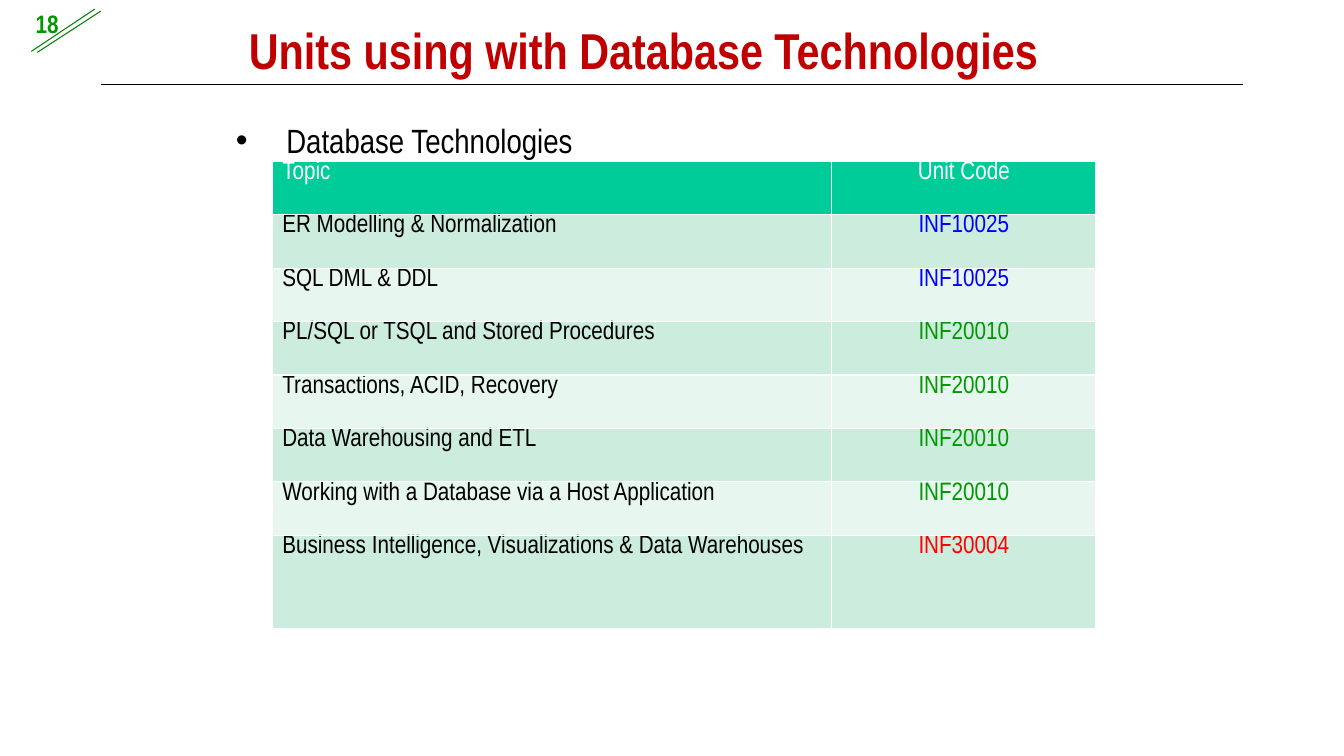
from dataclasses import dataclass

from lxml import etree
from pptx import Presentation
from pptx.dml.color import RGBColor
from pptx.enum.shapes import MSO_CONNECTOR
from pptx.enum.text import MSO_ANCHOR, PP_ALIGN
from pptx.oxml.ns import qn
from pptx.util import Inches, Pt

STRAIGHT = MSO_CONNECTOR.STRAIGHT
TOP, BOTTOM = MSO_ANCHOR.TOP, MSO_ANCHOR.BOTTOM
LEFT, CENTER, RIGHT = PP_ALIGN.LEFT, PP_ALIGN.CENTER, PP_ALIGN.RIGHT


@dataclass(frozen=True)
class Theme:
    font: str = "Arial Narrow"
    title_size: int = 36
    body_size: int = 24
    small_size: int = 18
    title: str = "C00000"
    number: str = "009900"
    accent: str = "008000"
    text: str = "000000"
    white: str = "FFFFFF"
    header: str = "00CC99"
    bands: tuple = ("CCECDE", "E7F6EF")
    level_one: str = "0000FF"
    level_two: str = "009900"
    level_three: str = "FF0000"


THEME = Theme()

TITLE = "Units using with Database Technologies"
PAGE_NUMBER = "18"
BULLET = "Database Technologies"
HEADER = ("Topic", "Unit Code")
UNITS = [
    ("ER Modelling & Normalization", "INF10025"),
    ("SQL DML & DDL", "INF10025"),
    ("PL/SQL or TSQL and Stored Procedures", "INF20010"),
    ("Transactions, ACID, Recovery", "INF20010"),
    ("Data Warehousing and ETL", "INF20010"),
    ("Working with a Database via a Host Application", "INF20010"),
    ("Business Intelligence, Visualizations & Data Warehouses", "INF30004"),
]
UNIT_COLORS = {
    "INF10025": THEME.level_one,
    "INF20010": THEME.level_two,
    "INF30004": THEME.level_three,
}
RULES = [
    (1, 0.84, 12.33, 0.84, THEME.text),
    (0.31, 0.51, 0.94, 0.09, THEME.accent),
    (0.37, 0.52, 1, 0.11, THEME.accent),
]
COLUMN_WIDTHS = (5.55, 2.62)
ROW_HEIGHT, LAST_ROW_HEIGHT = 0.53, 0.93


def add_rule(page, x1, y1, x2, y2, color):
    rule = page.shapes.add_connector(
        STRAIGHT, Inches(x1), Inches(y1), Inches(x2), Inches(y2))
    rule.line.color.rgb = RGBColor.from_string(color)
    rule.line.width = Pt(0.75)
    etree.SubElement(rule._element.spPr, qn("a:effectLst"))


def add_span(para, text, size, color, bold=False):
    span = para.add_run()
    span.text = text
    span.font.name = THEME.font
    span.font.size = Pt(size)
    span.font.bold = bold
    span.font.color.rgb = RGBColor.from_string(color)


def add_box(page, left, top, width, height, anchor=TOP):
    box = page.shapes.add_textbox(
        Inches(left), Inches(top), Inches(width), Inches(height))
    box.text_frame.word_wrap = True
    box.text_frame.vertical_anchor = anchor
    return box.text_frame


def add_bullet(para, indent):
    props = para._p.get_or_add_pPr()
    props.set("marL", str(Inches(indent)))
    props.set("indent", str(-Inches(indent)))
    etree.SubElement(props, qn("a:buFont"), typeface="Arial")
    etree.SubElement(props, qn("a:buChar"), char="•")


def add_borders(cell):
    props = cell._tc.get_or_add_tcPr()
    for index, side in enumerate(("lnL", "lnR", "lnT", "lnB")):
        line = etree.Element(qn(f"a:{side}"), w=str(Pt(1)))
        fill = etree.SubElement(line, qn("a:solidFill"))
        etree.SubElement(fill, qn("a:srgbClr"), val=THEME.white)
        props.insert(index, line)


def fill_cell(cell, text, color, fill, align):
    cell.margin_top = cell.margin_bottom = 0
    cell.fill.solid()
    cell.fill.fore_color.rgb = RGBColor.from_string(fill)
    add_borders(cell)
    para = cell.text_frame.paragraphs[0]
    para.alignment = align
    add_span(para, text, THEME.small_size, color)


def add_unit_table(page):
    rows = [HEADER] + UNITS
    heights = [ROW_HEIGHT] * len(UNITS) + [LAST_ROW_HEIGHT]
    table = page.shapes.add_table(
        len(rows), len(HEADER), Inches(2.7), Inches(1.6),
        Inches(sum(COLUMN_WIDTHS)), Inches(sum(heights))).table
    for column, width in zip(table.columns, COLUMN_WIDTHS):
        column.width = Inches(width)
    for index, (values, height) in enumerate(zip(rows, heights)):
        table.rows[index].height = Inches(height)
        fill = THEME.bands[(index - 1) % 2] if index else THEME.header
        default = THEME.text if index else THEME.white
        for column, (text, align) in enumerate(zip(values, (LEFT, CENTER))):
            color = UNIT_COLORS.get(text, default)
            fill_cell(table.cell(index, column), text, color, fill, align)


def main():
    deck = Presentation()
    deck.slide_width, deck.slide_height = Inches(13.33), Inches(7.5)
    page = deck.slides.add_slide(deck.slide_layouts[6])

    for rule in RULES:
        add_rule(page, *rule)

    number = add_box(page, 0, 0.09, 0.68, 0.34).paragraphs[0]
    number.alignment = RIGHT
    number.line_spacing = 0.8
    add_span(number, PAGE_NUMBER, THEME.small_size, THEME.number, bold=True)

    title = add_box(page, 2.37, 0.13, 8.98, 0.71, BOTTOM).paragraphs[0]
    add_span(title, TITLE, THEME.title_size, THEME.title, bold=True)

    body = add_box(page, 2.34, 0.99, 9.06, 5.72)
    body.margin_left = body.margin_right = 0
    body.margin_top = body.margin_bottom = 0
    topic = body.paragraphs[0]
    add_bullet(topic, 0.5)
    topic.line_spacing = 1.5
    add_span(topic, BULLET, THEME.body_size, THEME.text)

    add_unit_table(page)
    deck.save("out.pptx")


if __name__ == "__main__":
    main()
